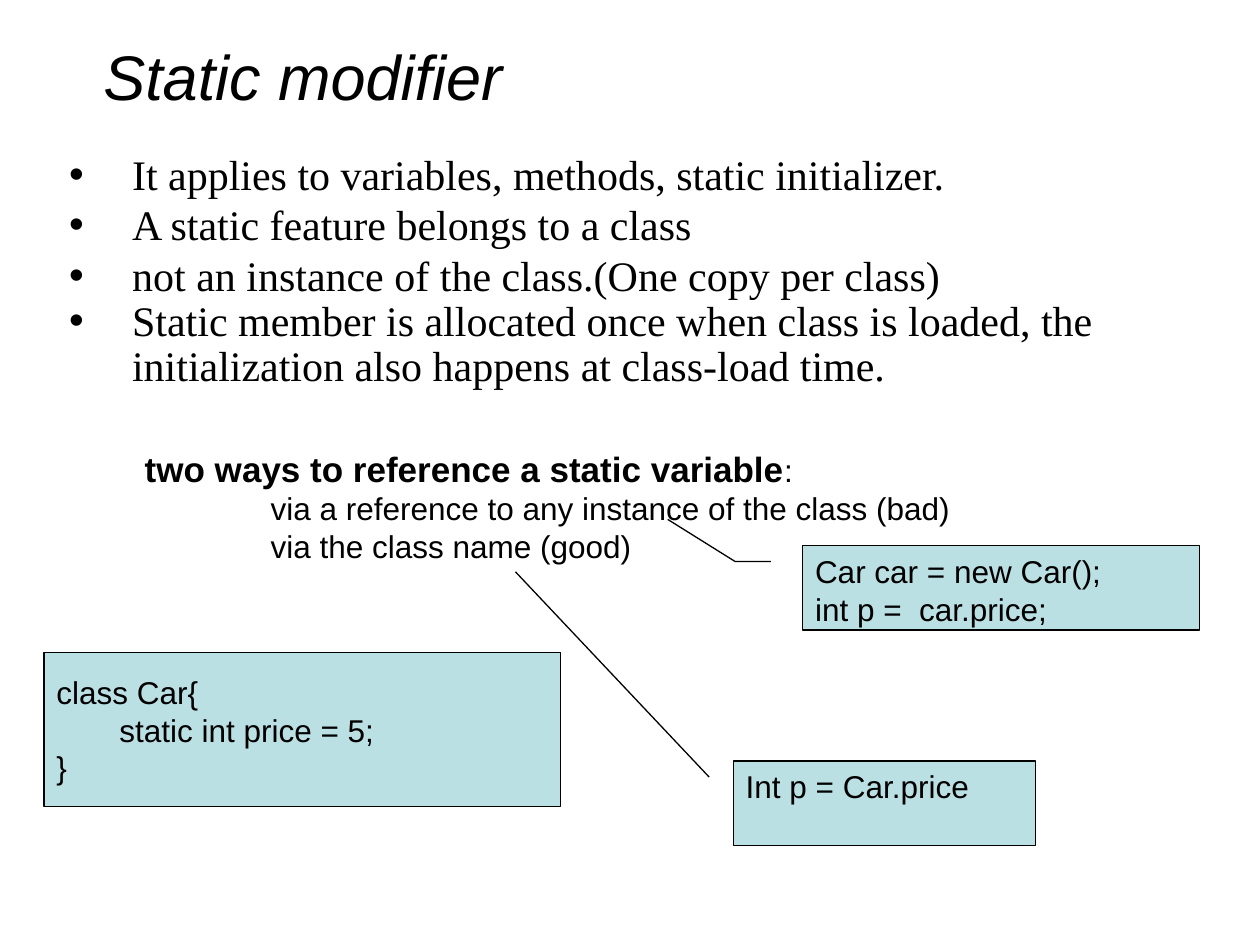
from dataclasses import dataclass

from lxml import etree
from pptx import Presentation
from pptx.dml.color import RGBColor
from pptx.enum.shapes import MSO_SHAPE
from pptx.enum.text import MSO_ANCHOR, MSO_AUTO_SIZE, PP_ALIGN
from pptx.oxml.ns import qn
from pptx.util import Inches, Pt

RECTANGLE = MSO_SHAPE.RECTANGLE
BENT_CALLOUT = MSO_SHAPE.LINE_CALLOUT_2
STRAIGHT_CALLOUT = MSO_SHAPE.LINE_CALLOUT_1
TOP, MIDDLE = MSO_ANCHOR.TOP, MSO_ANCHOR.MIDDLE
FIT_SHAPE, NO_FIT = MSO_AUTO_SIZE.SHAPE_TO_FIT_TEXT, MSO_AUTO_SIZE.NONE
LEFT = PP_ALIGN.LEFT
TITLE_ONLY = 5

# The slide is a grid of 100 columns and 75 rows
COLUMNS, ROWS = 100, 75
CELL = Inches(0.1)


@dataclass(frozen=True)
class Theme:
    ink: RGBColor = RGBColor(0, 0, 0)
    panel: RGBColor = RGBColor(0xBB, 0xE0, 0xE3)
    sans: str = "Arial"
    serif: str = "Times New Roman"
    title: int = 36
    bullet: int = 24
    heading: int = 20
    body: int = 18
    outline: float = 0.75


@dataclass(frozen=True)
class Area:
    column: float
    row: float
    columns: float
    rows: float

    def lengths(self) -> tuple[int, ...]:
        cells = (self.column, self.row, self.columns, self.rows)
        return tuple(round(CELL * count) for count in cells)


@dataclass(frozen=True)
class CodePanel:
    area: Area
    lines: tuple[str, ...]
    preset: MSO_SHAPE = RECTANGLE
    adjustments: tuple[float, ...] = ()
    anchor: MSO_ANCHOR = TOP


THEME = Theme()

TITLE_AREA = Area(7.2, 2.5, 56, 7)
BULLET_AREA = Area(4.5, 11.3, 86.2, 20.2)
WAYS_AREA = Area(10.5, 35, 81.5, 14.9)

BULLETS = (
    ("It applies to variables, methods, static initializer.", 1.0),
    ("A static feature belongs to a class", 1.0),
    ("not an instance of the class.(One copy per class)", 1.0),
    ("Static member is allocated once when class is loaded, "
     "the initialization also happens at class-load time.", 0.9),
)
WAYS = (
    "via a reference to any instance of the class (bad)",
    "via the class name (good)",
)
PANELS = (
    CodePanel(Area(3.5, 51.8, 41, 12.2),
              ("class Car{", "\tstatic int price = 5;", "}"), anchor=MIDDLE),
    CodePanel(Area(63.7, 43.3, 31.5, 6.7),
              ("Car car = new Car();", "int p =  car.price;"),
              BENT_CALLOUT, (0.19, -0.08, 0.19, -0.17, -0.31, -0.34)),
    CodePanel(Area(58.2, 60.4, 24, 6.7), ("Int p = Car.price",),
              STRAIGHT_CALLOUT, (0.19, -0.08, -2.24, -0.72)),
)


def write(paragraph, text: str, *, size: int = THEME.body, font: str = THEME.sans,
          bold: bool = False, italic: bool = False) -> None:
    """Add a formatted run to a left-aligned paragraph."""
    paragraph.alignment = LEFT
    run = paragraph.add_run()
    run.text = text
    run.font.size = Pt(size)
    run.font.name = font
    run.font.bold = bold
    run.font.italic = italic
    run.font.color.rgb = THEME.ink


def prepare_frame(shape, anchor=TOP, auto_size=FIT_SHAPE):
    frame = shape.text_frame
    frame.word_wrap = True
    frame.auto_size = auto_size
    frame.vertical_anchor = anchor
    return frame


def next_paragraph(frame):
    """Use the empty first paragraph before adding further ones."""
    first = frame.paragraphs[0]
    return frame.add_paragraph() if first.runs else first


def indent(paragraph, margin: float, first_line: float = 0) -> None:
    properties = paragraph._p.get_or_add_pPr()
    properties.set("marL", str(Inches(margin)))
    properties.set("indent", str(Inches(first_line)))


def add_bullet(paragraph) -> None:
    indent(paragraph, 0.5, -0.5)
    properties = paragraph._p.get_or_add_pPr()
    color = etree.SubElement(properties, qn("a:buClr"))
    etree.SubElement(color, qn("a:srgbClr"), val=str(THEME.ink))
    etree.SubElement(properties, qn("a:buFont"), typeface=THEME.sans)
    etree.SubElement(properties, qn("a:buChar"), char="•")


def draw_title(slide) -> None:
    title = slide.shapes.title
    title.left, title.top, title.width, title.height = TITLE_AREA.lengths()
    frame = prepare_frame(title)
    write(frame.paragraphs[0], "Static modifier", size=THEME.title, italic=True)


def draw_bullets(slide) -> None:
    frame = prepare_frame(slide.shapes.add_textbox(*BULLET_AREA.lengths()))
    for text, spacing in BULLETS:
        paragraph = next_paragraph(frame)
        paragraph.line_spacing = spacing
        add_bullet(paragraph)
        write(paragraph, text, size=THEME.bullet, font=THEME.serif)


def draw_ways(slide) -> None:
    frame = prepare_frame(slide.shapes.add_textbox(*WAYS_AREA.lengths()))
    heading = next_paragraph(frame)
    write(heading, "two ways to reference a static variable",
          size=THEME.heading, bold=True)
    write(heading, ":")
    for text in WAYS:
        paragraph = next_paragraph(frame)
        paragraph.level = 1
        indent(paragraph, 1)
        write(paragraph, text)


def draw_panel(slide, panel: CodePanel) -> None:
    shape = slide.shapes.add_shape(panel.preset, *panel.area.lengths())
    shape.shadow.inherit = False
    shape.fill.solid()
    shape.fill.fore_color.rgb = THEME.panel
    shape.line.color.rgb = THEME.ink
    shape.line.width = Pt(THEME.outline)
    for index, value in enumerate(panel.adjustments):
        shape.adjustments[index] = value
    frame = prepare_frame(shape, panel.anchor, NO_FIT)
    for line in panel.lines:
        write(next_paragraph(frame), line)


def main() -> None:
    presentation = Presentation()
    presentation.slide_width = CELL * COLUMNS
    presentation.slide_height = CELL * ROWS
    slide = presentation.slides.add_slide(presentation.slide_layouts[TITLE_ONLY])

    # Title and explanation
    draw_title(slide)
    draw_bullets(slide)

    # Code examples, two of them pointing at the ways listed
    for panel in PANELS:
        draw_panel(slide, panel)
    draw_ways(slide)

    presentation.save("out.pptx")


if __name__ == "__main__":
    main()
